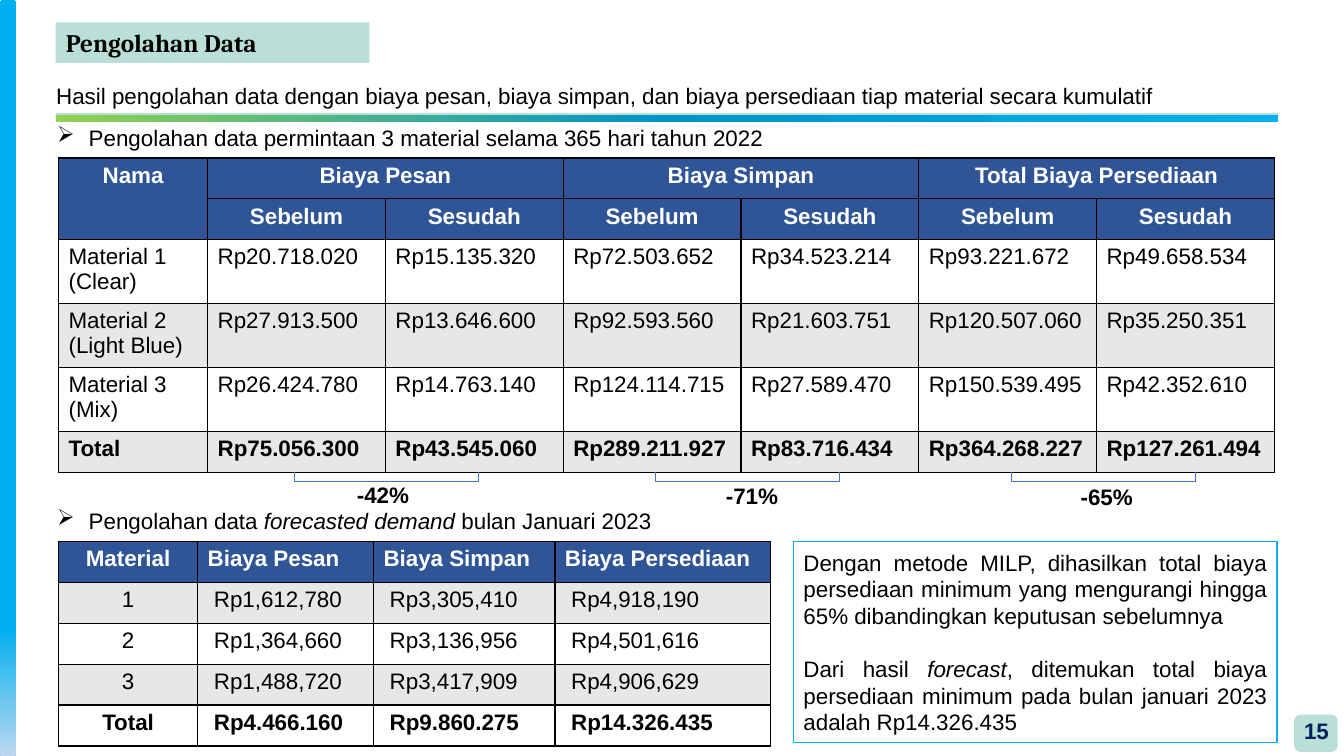
from lxml import etree
from pptx import Presentation
from pptx.dml.color import RGBColor
from pptx.enum.shapes import MSO_SHAPE
from pptx.enum.text import MSO_ANCHOR, MSO_AUTO_SIZE, PP_ALIGN
from pptx.oxml.ns import qn
from pptx.util import Pt

LEFT, CENTER, JUSTIFY = PP_ALIGN.LEFT, PP_ALIGN.CENTER, PP_ALIGN.JUSTIFY
MIDDLE = MSO_ANCHOR.MIDDLE
RECTANGLE, ROUNDED = MSO_SHAPE.RECTANGLE, MSO_SHAPE.ROUNDED_RECTANGLE
COLORS = {
    "black": "000000", "white": "FFFFFF", "mint": "BADFD7", "navy": "002060",
    "header": "2F5597", "band": "E7E7E7", "bracket": "4472C4", "sky": "00B0F0",
    "green": "92D050", "ocean": "0094CA", "pale": "BDD7EE",
}
TITLE = "Pengolahan Data"
SUBTITLE = ("Hasil pengolahan data dengan biaya pesan, biaya simpan, dan biaya "
            "persediaan tiap material secara kumulatif")
PAGE_NUMBER = "15"
BULLETS = [
    (85, [("Pengolahan data permintaan 3 material selama 365 hari tahun 2022", False)]),
    (358.6, [("Pengolahan data ", False), ("forecasted demand ", True),
             ("bulan Januari 2023", False)]),
]
COST_ROWS = [
    ("Nama", "Biaya Pesan", "", "Biaya Simpan", "", "Total Biaya Persediaan", ""),
    ("",) + ("Sebelum", "Sesudah") * 3,
    ("Material 1 (Clear)", "Rp20.718.020", "Rp15.135.320", "Rp72.503.652",
     "Rp34.523.214", "Rp93.221.672", "Rp49.658.534"),
    ("Material 2\n(Light Blue)", "Rp27.913.500", "Rp13.646.600", "Rp92.593.560",
     "Rp21.603.751", "Rp120.507.060", "Rp35.250.351"),
    ("Material 3 (Mix)", "Rp26.424.780", "Rp14.763.140", "Rp124.114.715",
     "Rp27.589.470", "Rp150.539.495", "Rp42.352.610"),
    ("Total", "Rp75.056.300", "Rp43.545.060", "Rp289.211.927",
     "Rp83.716.434", "Rp364.268.227", "Rp127.261.494"),
]
FORECAST_ROWS = [
    ("Material", "Biaya Pesan", "Biaya Simpan", "Biaya Persediaan"),
    ("1", "Rp1,612,780", "Rp3,305,410", "Rp4,918,190"),
    ("2", "Rp1,364,660", "Rp3,136,956", "Rp4,501,616"),
    ("3", "Rp1,488,720", "Rp3,417,909", "Rp4,906,629"),
    ("Total", "Rp4.466.160", "Rp9.860.275", "Rp14.326.435"),
]
SAVINGS = [("-42%", 210.2, 244, 340), ("-71%", 468, 507.6, 340.6),
           ("-65%", 722.2, 761, 341.3)]
CONCLUSIONS = [
    [("Dengan metode MILP, dihasilkan total biaya persediaan minimum yang mengurangi "
      "hingga 65% dibandingkan keputusan sebelumnya", False)],
    [("Dari hasil ", False), ("forecast", True),
     (", ditemukan total biaya persediaan minimum pada bulan januari 2023 adalah "
      "Rp14.326.435", False)],
]
ROW_HEIGHT, TALL_ROW_HEIGHT = 29.25, 45.72
COST_WIDTHS = [106.5] + [127] * 6
FORECAST_WIDTHS = [99.4, 125.6, 129.6, 154.1]
TABLE_LEFT, CONTENT_LEFT, CONTENT_WIDTH = 41.8, 39.8, 873
BRACKET_WIDTH, BRACKET_TOP, BRACKET_DEPTH = 131.6, 337.2, 6.6


def rgb(name):
    return RGBColor.from_string(COLORS[name])


def style(paragraph, color="black", bold=False, size=16, font="Arial"):
    for run in paragraph.runs:
        run.font.name, run.font.size, run.font.bold = font, Pt(size), bold
        run.font.color.rgb = rgb(color)


def add_runs(paragraph, parts):
    for text, italic in parts:
        run = paragraph.add_run()
        run.text, run.font.italic = text, italic
    paragraph.alignment = JUSTIFY
    style(paragraph)


def add_shape(slide, kind, left, top, width, height, fill=None):
    shape = slide.shapes.add_shape(kind, Pt(left), Pt(top), Pt(width), Pt(height))
    shape.shadow.inherit = False
    shape.line.fill.background()
    if fill:
        shape.fill.solid()
        shape.fill.fore_color.rgb = rgb(fill)
    else:
        shape.fill.background()
    return shape


def add_gradient_bar(slide, kind, box, stops, angle):
    bar = add_shape(slide, kind, *box)
    gradient = etree.Element(qn("a:gradFill"), rotWithShape="1")
    stop_list = etree.SubElement(gradient, qn("a:gsLst"))
    for percent, color in stops:
        stop = etree.SubElement(stop_list, qn("a:gs"), pos=str(percent * 1000))
        etree.SubElement(stop, qn("a:srgbClr"), val=COLORS[color])
    etree.SubElement(gradient, qn("a:lin"), ang=str(angle * 60000), scaled="0")
    properties = bar._element.spPr
    properties.replace(properties.find(qn("a:noFill")), gradient)


def add_text(slide, left, top, width, text="", align=LEFT, color="black", bold=False):
    box = slide.shapes.add_textbox(Pt(left), Pt(top), Pt(width), Pt(26.6))
    box.text_frame.word_wrap = True
    paragraph = box.text_frame.paragraphs[0]
    paragraph.text, paragraph.alignment = text, align
    style(paragraph, color, bold)
    return paragraph


def add_bullet(slide, top, parts):
    paragraph = add_text(slide, 33.8, top, 602)
    properties = paragraph._p.get_or_add_pPr()
    properties.set("marL", str(Pt(22.5)))
    properties.set("indent", str(-Pt(22.5)))
    etree.SubElement(properties, qn("a:buChar"), char="➢")
    add_runs(paragraph, parts)


def add_borders(cell):
    properties = cell._tc.get_or_add_tcPr()
    for index, side in enumerate(("lnL", "lnR", "lnT", "lnB")):
        border = etree.Element(qn("a:" + side), w=str(Pt(1)))
        fill = etree.SubElement(border, qn("a:solidFill"))
        etree.SubElement(fill, qn("a:srgbClr"), val=COLORS["black"])
        properties.insert(index, border)


def add_table(slide, top, rows, widths, heights, fills, centered, indent=0):
    table = slide.shapes.add_table(len(rows), len(widths), Pt(TABLE_LEFT), Pt(top),
                                   Pt(sum(widths)), Pt(sum(heights))).table
    for column, width in zip(table.columns, widths):
        column.width = Pt(width)
    for row_index, values in enumerate(rows):
        table.rows[row_index].height = Pt(heights[row_index])
        is_header = fills[row_index] == "header"
        bold = is_header or row_index == len(rows) - 1
        for column_index, value in enumerate(values):
            cell = table.cell(row_index, column_index)
            cell.text = value
            cell.fill.solid()
            cell.fill.fore_color.rgb = rgb(fills[row_index])
            add_borders(cell)
            if column_index and not is_header:
                cell.margin_left = Pt(7.2 + indent)
            for paragraph in cell.text_frame.paragraphs:
                paragraph.alignment = CENTER if centered(row_index, column_index) else LEFT
                style(paragraph, "white" if is_header else "black", bold)
    return table


def add_bracket(slide, left):
    right, bottom = left + BRACKET_WIDTH, BRACKET_TOP + BRACKET_DEPTH
    builder = slide.shapes.build_freeform(Pt(left), Pt(BRACKET_TOP))
    builder.add_line_segments([(Pt(left), Pt(bottom)), (Pt(right), Pt(bottom)),
                               (Pt(right), Pt(BRACKET_TOP))], close=False)
    bracket = builder.convert_to_shape()
    bracket.shadow.inherit = False
    bracket.fill.background()
    bracket.line.color.rgb, bracket.line.width = rgb("bracket"), Pt(0.5)


def add_title(slide):
    title = slide.shapes.title
    title.left, title.top, title.width, title.height = Pt(39.8), Pt(16), Pt(224), Pt(29)
    geometry = etree.SubElement(title._element.spPr, qn("a:prstGeom"), prst="roundRect")
    etree.SubElement(geometry, qn("a:avLst"))
    title.fill.solid()
    title.fill.fore_color.rgb = rgb("mint")
    frame = title.text_frame
    frame.text, frame.vertical_anchor = TITLE, MIDDLE
    frame.auto_size = MSO_AUTO_SIZE.NONE
    frame.paragraphs[0].alignment = LEFT
    style(frame.paragraphs[0], bold=True, size=18, font="Cambria")


def add_conclusion(slide):
    box = add_shape(slide, RECTANGLE, 566.8, 387, 345.4, 143.3)
    box.line.color.rgb, box.line.width = rgb("sky"), Pt(0.75)
    frame = box.text_frame
    frame.word_wrap, frame.vertical_anchor = True, MIDDLE
    for index, parts in enumerate(CONCLUSIONS):
        paragraph = frame.add_paragraph() if index else frame.paragraphs[0]
        add_runs(paragraph, parts)
        paragraph.line_spacing = Pt(19)
        paragraph.space_before = Pt(19 * index)


def main():
    presentation = Presentation()
    presentation.slide_width, presentation.slide_height = Pt(960), Pt(540)
    slide = presentation.slides.add_slide(presentation.slide_layouts[5])
    add_title(slide)
    add_shape(slide, ROUNDED, CONTENT_LEFT, 80.6, CONTENT_WIDTH, 3.6, "mint")
    add_gradient_bar(slide, RECTANGLE, (CONTENT_LEFT, 82.5, CONTENT_WIDTH, 5),
                     [(0, "green"), (50, "ocean"), (100, "sky")], 0)
    add_gradient_bar(slide, ROUNDED, (0, 0, 11.5, 540),
                     [(0, "sky"), (83, "sky"), (100, "pale")], 90)
    subtitle = add_text(slide, 33.1, 57.6, 908, SUBTITLE)
    subtitle.line_spacing = 0.9
    for top, parts in BULLETS:
        add_bullet(slide, top, parts)

    cost_heights = [ROW_HEIGHT] * 2 + [TALL_ROW_HEIGHT] * 3 + [ROW_HEIGHT]
    cost_fills = ["header"] * 2 + ["white", "band"] * 2
    cost_table = add_table(slide, 112.8, COST_ROWS, COST_WIDTHS, cost_heights,
                           cost_fills, lambda row, column: row < 2)
    cost_table.cell(0, 0).merge(cost_table.cell(1, 0))
    for column in (1, 3, 5):
        cost_table.cell(0, column).merge(cost_table.cell(0, column + 1))
    add_table(slide, 386.7, FORECAST_ROWS, FORECAST_WIDTHS, [ROW_HEIGHT] * 5,
              ["header"] + ["band", "white"] * 2, lambda row, column: column == 0, 4.45)

    for label, bracket_left, label_left, label_top in SAVINGS:
        add_bracket(slide, bracket_left)
        add_text(slide, label_left, label_top, 59, label, CENTER, bold=True)
    add_conclusion(slide)
    add_shape(slide, ROUNDED, 924.5, 510.5, 31, 26.6, "mint")
    add_text(slide, 908, 509, 64.8, PAGE_NUMBER, CENTER, "navy", True)
    presentation.save("out.pptx")


if __name__ == "__main__":
    main()
